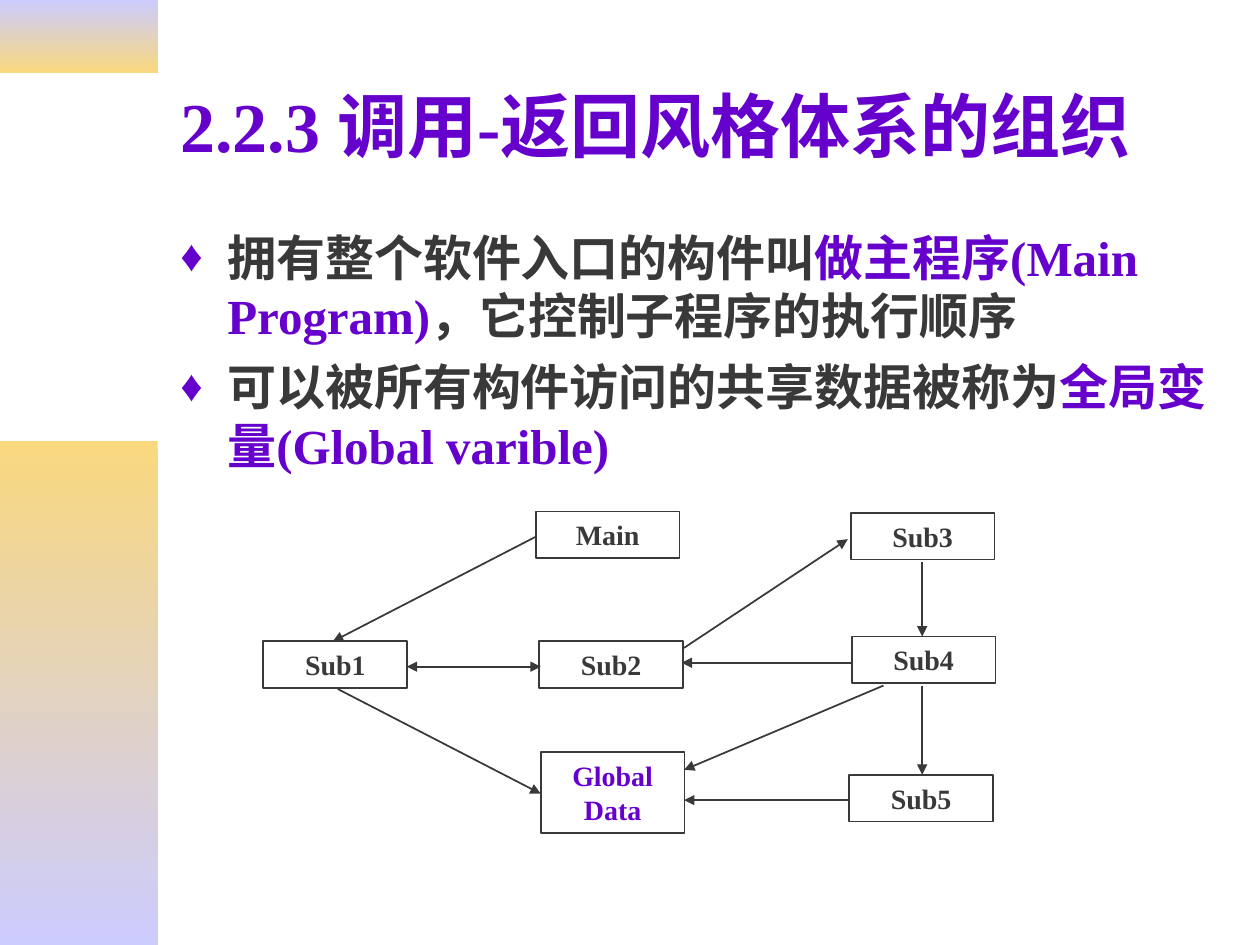
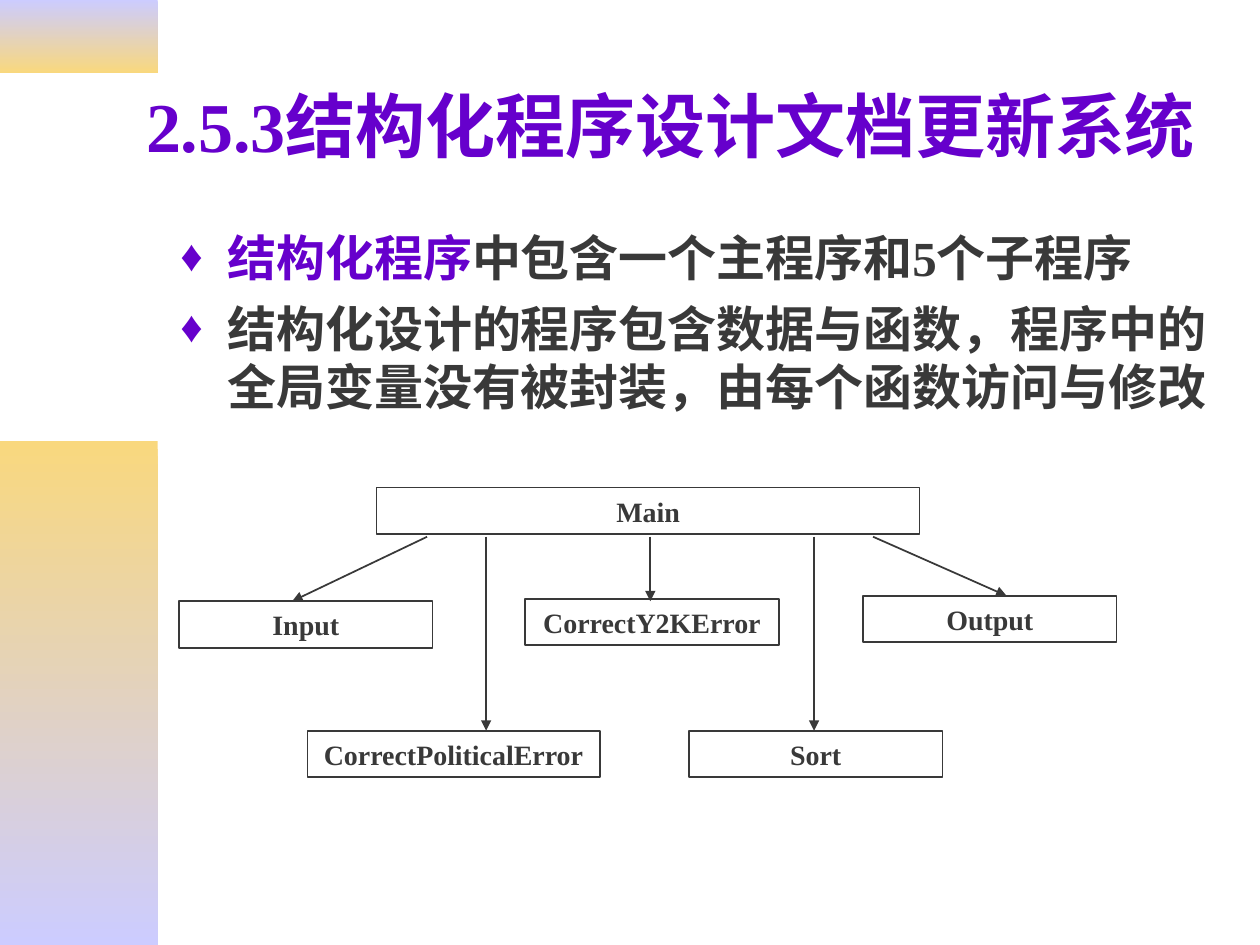
from lxml import etree
from pptx import Presentation
from pptx.dml.color import RGBColor
from pptx.enum import shapes, text
from pptx.oxml import ns
from pptx.util import Cm, Pt

PURPLE, INK = "6600CC", "393939"
LAVENDER, GOLD = "CCCCFF", "F9D87E"
FONT = "Times New Roman"
RIGHT_EDGE = 24.97
BODY_LEFT = 3.38
BOX_HEIGHT = 0.94
SUB_WIDTH, FUNCTION_WIDTH = 2.9, 5.11
MAIN_EXIT = 10.82


def rgb(hex_color):
    """Turn a hex string into a colour."""
    return RGBColor.from_string(hex_color)


def add_element(parent, tag, **attributes):
    """Append a drawing element to a parent."""
    return etree.SubElement(parent, ns.qn(f"a:{tag}"), **attributes)


def add_run(paragraph, words, size, color):
    """Add one bold run to a paragraph."""
    run = paragraph.add_run()
    run.text = words
    run.font.name = FONT
    run.font.size = Pt(size)
    run.font.bold = True
    run.font.color.rgb = rgb(color)


def add_band(slide, top, height, upper, lower):
    """Draw a side band that fades downwards."""
    band = slide.shapes.add_shape(
        shapes.MSO_SHAPE.RECTANGLE, 0, Cm(top), Cm(3.18), Cm(height))
    band.shadow.inherit = False
    band.line.fill.background()
    band.fill.gradient()
    band.fill.gradient_angle = 270
    for stop, color in zip(band.fill.gradient_stops, (upper, lower)):
        stop.color.rgb = rgb(color)


def place(placeholder, left, top, height):
    """Stretch a placeholder from its left to the shared right edge."""
    placeholder.left, placeholder.top = Cm(left), Cm(top)
    placeholder.width, placeholder.height = Cm(RIGHT_EDGE - left), Cm(height)
    placeholder.text_frame.auto_size = text.MSO_AUTO_SIZE.NONE
    placeholder.text_frame.word_wrap = True


def add_bullet(paragraph):
    """Give a paragraph the hanging diamond bullet."""
    properties = paragraph._p.get_or_add_pPr()
    properties.set("marL", str(Cm(0.95)))
    properties.set("indent", str(-Cm(0.95)))
    add_element(add_element(properties, "buClr"), "srgbClr", val=PURPLE)
    add_element(properties, "buSzPct", val="90000")
    add_element(properties, "buFont", typeface=FONT)
    add_element(properties, "buChar", char="♦")


def add_content_slide(deck, heading, points, heading_left, body_height):
    """Add a slide with bands, a title and a bulleted list."""
    slide = deck.slides.add_slide(deck.slide_layouts[1])
    add_band(slide, 0, 1.47, LAVENDER, GOLD)
    add_band(slide, 8.89, 10.16, GOLD, LAVENDER)

    title = slide.shapes.title
    place(title, heading_left, 0.84, 3.35)
    title.text_frame.vertical_anchor = text.MSO_ANCHOR.MIDDLE
    title_line = title.text_frame.paragraphs[0]
    title_line.alignment = text.PP_ALIGN.LEFT
    add_run(title_line, heading, 40, PURPLE)

    body = slide.placeholders[1]
    place(body, BODY_LEFT, 4.45, body_height)
    for index, point in enumerate(points):
        frame = body.text_frame
        paragraph = frame.add_paragraph() if index else frame.paragraphs[0]
        add_bullet(paragraph)
        paragraph.space_before = Pt(7 if index else 0)
        for words, color in point:
            add_run(paragraph, words, 28, color)
    return slide


def add_box(slide, label, left, top, width, height=BOX_HEIGHT, color=INK):
    """Draw an outlined box with a centred label."""
    box = slide.shapes.add_shape(
        shapes.MSO_SHAPE.RECTANGLE, Cm(left), Cm(top), Cm(width), Cm(height))
    box.shadow.inherit = False
    box.fill.background()
    box.line.color.rgb = rgb(INK)
    box.line.width = Pt(1)
    box.text_frame.word_wrap = True
    box.text_frame.vertical_anchor = text.MSO_ANCHOR.MIDDLE
    paragraph = box.text_frame.paragraphs[0]
    paragraph.alignment = text.PP_ALIGN.CENTER
    add_run(paragraph, label, 16, color)


def add_arrow(slide, start_x, start_y, end_x, end_y, both_ways=False):
    """Draw an arrow between two points."""
    arrow = slide.shapes.add_connector(
        shapes.MSO_CONNECTOR.STRAIGHT,
        Cm(start_x), Cm(start_y), Cm(end_x), Cm(end_y))
    arrow.line.color.rgb = rgb(INK)
    arrow.line.width = Pt(1)
    outline = arrow.line._get_or_add_ln()
    if both_ways:
        add_element(outline, "headEnd", type="triangle")
    add_element(outline, "tailEnd", type="triangle")
    add_element(arrow._element.spPr, "effectLst")


def add_call_return_slide(deck):
    """Show how the call-return style is organised."""
    points = [
        [("拥有整个软件入口的构件叫", INK),
         ("做主程序(Main Program)", PURPLE),
         ("，它控制子程序的执行顺序", INK)],
        [("可以被所有构件访问的共享数据被称为", INK),
         ("全局变量(Global varible)", PURPLE)],
    ]
    slide = add_content_slide(
        deck, "2.2.3 调用-返回风格体系的组织", points, BODY_LEFT, 5.87)
    routines = [
        ("Main", 10.8, 10.31),
        ("Sub1", 5.31, 12.93),
        ("Sub2", 10.87, 12.93),
        ("Sub3", 17.15, 10.34),
        ("Sub4", 17.17, 12.83),
        ("Sub5", 17.12, 15.62),
    ]
    for label, left, top in routines:
        add_box(slide, label, left, top, SUB_WIDTH)
    add_box(slide, "Global Data", 10.9, 15.16, SUB_WIDTH, 1.63, PURPLE)

    calls = [
        (10.8, 10.82, 6.71, 12.93),
        (6.81, 13.89, 10.9, 16),
        (13.79, 13.06, 17.09, 10.87),
        (18.59, 11.33, 18.59, 12.83),
        (17.15, 13.36, 13.74, 13.36),
        (18.59, 13.82, 18.59, 15.62),
        (17.09, 16.13, 13.79, 16.13),
        (17.81, 13.82, 13.79, 15.52),
    ]
    for call in calls:
        add_arrow(slide, *call)
    add_arrow(slide, 8.2, 13.44, 10.9, 13.44, both_ways=True)


def add_structured_design_slide(deck):
    """Show the main program and its five subprograms."""
    points = [
        [("结构化程序", PURPLE), ("中包含一个主程序和5个子程序", INK)],
        [("结构化设计的程序包含数据与函数，程序中的全局变量没有被封装，"
          "由每个函数访问与修改", INK)],
    ]
    slide = add_content_slide(
        deck, "2.5.3结构化程序设计文档更新系统", points, 2.69, 4.57)
    functions = [
        ("Main", 7.59, 9.83, 10.95),
        ("Input", 3.61, 12.12, FUNCTION_WIDTH),
        ("CorrectPoliticalError", 6.2, 14.73, 5.89),
        ("CorrectY2KError", 10.59, 12.07, FUNCTION_WIDTH),
        ("Sort", 13.89, 14.73, FUNCTION_WIDTH),
        ("Output", 17.4, 12.01, FUNCTION_WIDTH),
    ]
    for function in functions:
        add_box(slide, *function)

    calls = [
        (8.61, 5.89, 12.12),
        (9.8, 9.8, 14.73),
        (13.11, 13.11, 12.12),
        (16.41, 16.41, 14.73),
        (17.6, 20.29, 12.01),
    ]
    for start_x, end_x, end_y in calls:
        add_arrow(slide, start_x, MAIN_EXIT, end_x, end_y)


def main():
    """Build and save the deck."""
    deck = Presentation()
    deck.slide_width, deck.slide_height = Cm(25.4), Cm(19.05)
    add_call_return_slide(deck)
    add_structured_design_slide(deck)
    deck.save("out.pptx")


if __name__ == "__main__":
    main()
